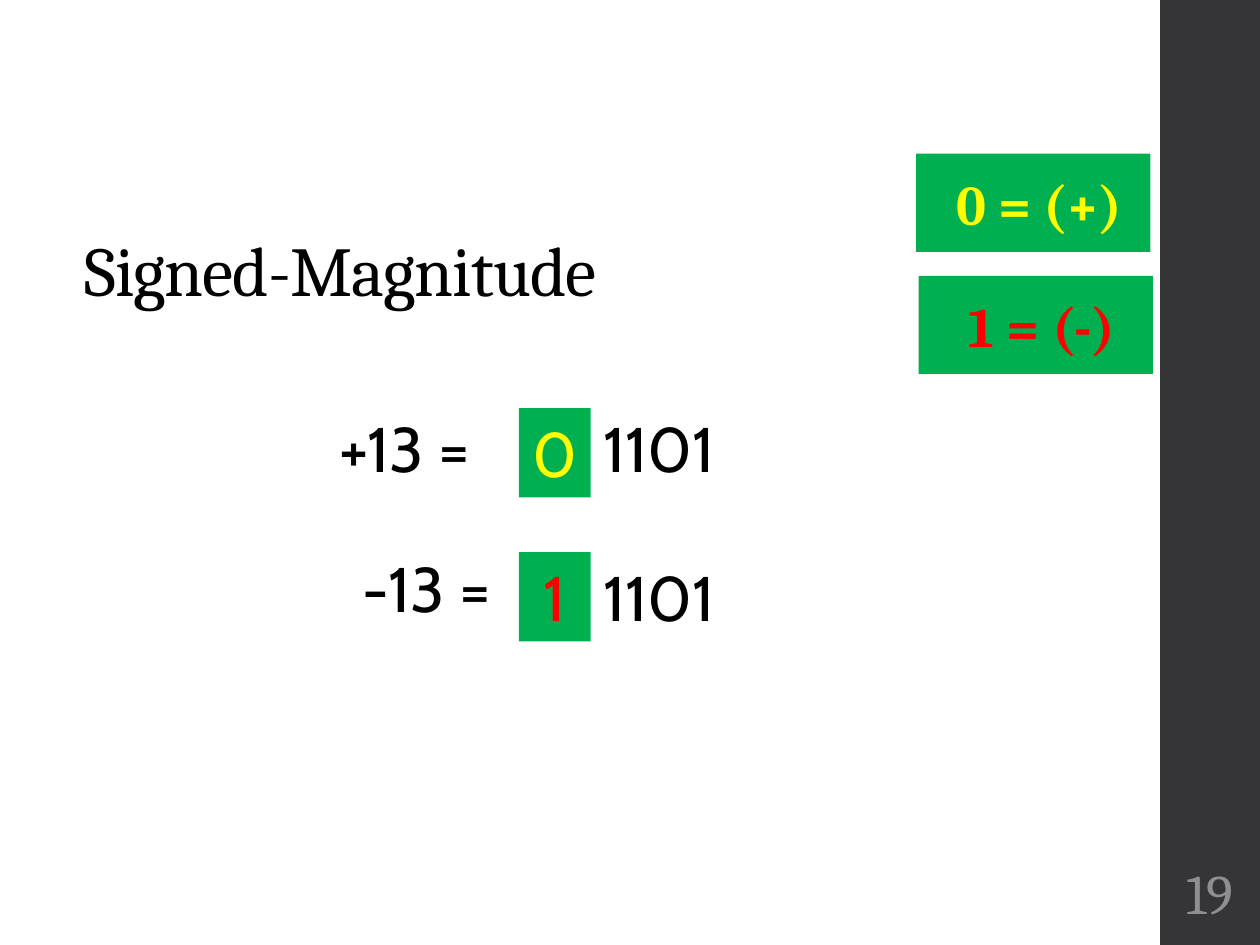
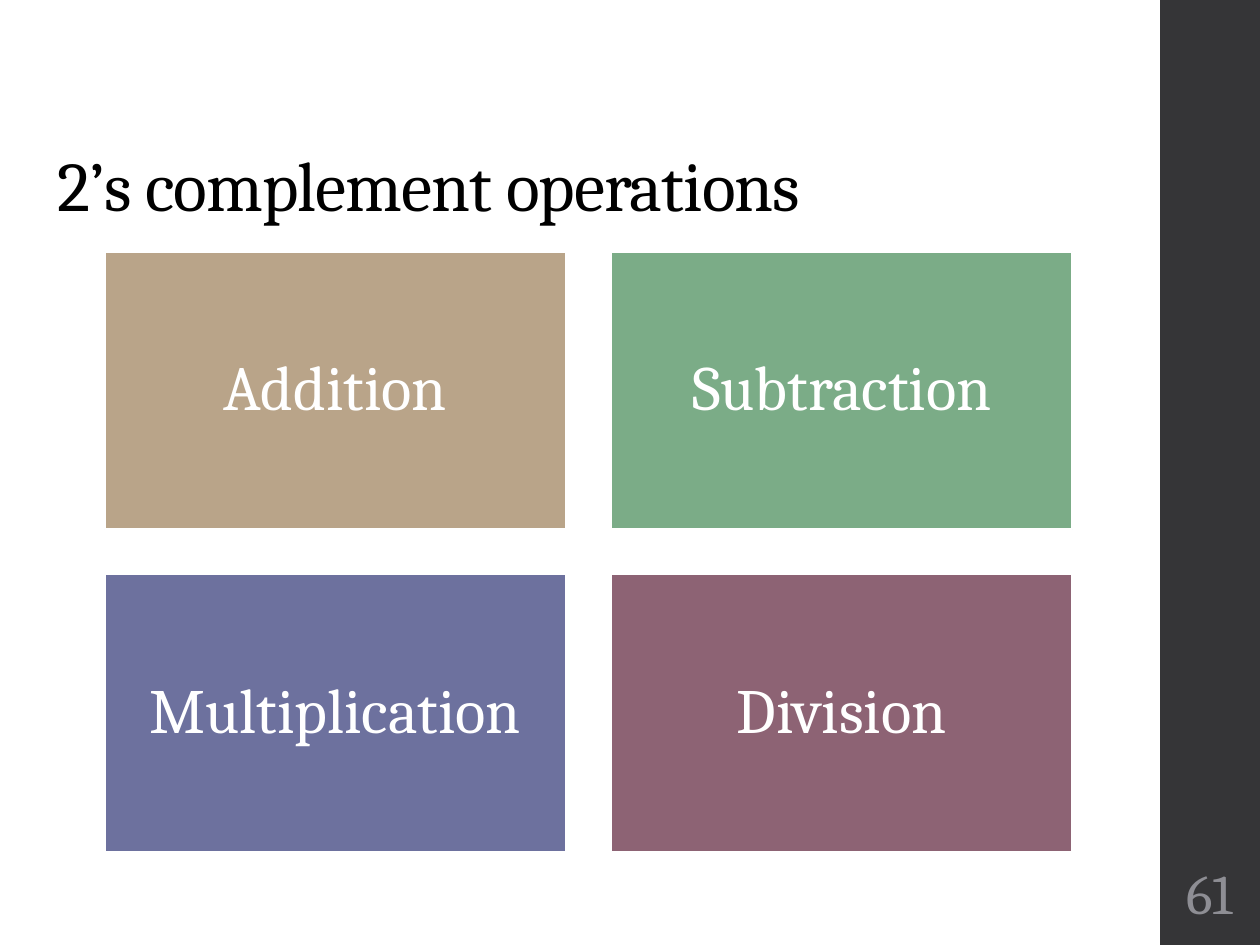
from dataclasses import dataclass

from pptx import Presentation
from pptx.dml.color import RGBColor as Rgb
from pptx.enum.shapes import MSO_SHAPE as Preset
from pptx.enum.text import MSO_ANCHOR as Anchor, PP_ALIGN as Align
from pptx.util import Cm, Pt


@dataclass(frozen=True)
class Theme:
    serif: str = "Cambria"
    sans: str = "Cabin"
    title_size: int = 40
    body_size: int = 36
    small_size: int = 32
    black: str = "000000"
    white: str = "FFFFFF"
    band: str = "353537"
    page_number: str = "8E8E94"
    sign_fill: str = "00B050"
    plus: str = "FFFF00"
    minus: str = "FF0000"


theme = Theme()


def add_box(slide, bounds, fill=None):
    """Add a rectangle, or a text box if there is no fill; bounds are in cm."""
    lengths = [Cm(value) for value in bounds]
    if fill is None:
        return slide.shapes.add_textbox(*lengths)
    shape = slide.shapes.add_shape(Preset.RECTANGLE, *lengths)
    shape.shadow.inherit = False
    shape.fill.solid()
    shape.fill.fore_color.rgb = Rgb.from_string(fill)
    shape.line.fill.background()
    return shape


def write(shape, text, color, size=theme.body_size, font=theme.serif,
          align=Align.CENTER, anchor=Anchor.MIDDLE):
    frame = shape.text_frame
    frame.word_wrap = True
    frame.vertical_anchor = anchor
    paragraph = frame.paragraphs[0]
    paragraph.text = text
    paragraph.alignment = align
    paragraph.font.name = font
    paragraph.font.size = Pt(size)
    paragraph.font.color.rgb = Rgb.from_string(color)
    return paragraph


presentation = Presentation()
presentation.slide_width, presentation.slide_height = Cm(25.4), Cm(19.05)
blank_layout = presentation.slide_layouts[6]

# Side band, title and page number on every slide
slides = []
for title, title_bounds, page_number in (
    ("Signed-Magnitude", (1.45, 2.72, 21.31, 3.68), "19"),
    ("2’s complement operations", (0.91, 1.02, 21.92, 3.68), "61"),
):
    slide = presentation.slides.add_slide(blank_layout)
    slides.append(slide)
    add_box(slide, (23.39, 0, 2.03, 19.05), theme.band)

    paragraph = write(add_box(slide, title_bounds), title, theme.black,
                      theme.title_size, align=Align.LEFT, anchor=Anchor.BOTTOM)
    paragraph.line_spacing = 0.9
    paragraph.runs[0].font._element.set("spc", "-50")

    number_box = add_box(slide, (23.44, 17.15, 1.9, 1.65))
    number_box.text_frame.margin_left = number_box.text_frame.margin_right = Cm(0.08)
    write(number_box, page_number, theme.page_number, theme.small_size)

signed_slide, operations_slide = slides

# Signed-magnitude examples: number, sign bit, magnitude bits
for number, number_left, number_top, sign, sign_color, sign_top, bits_top in (
    ("+13 =", 6.6, 8.13, "0", theme.plus, 8.23, 8.13),
    ("-13 =", 7.06, 10.95, "1", theme.minus, 11.13, 11.13),
):
    for text, bounds, color, fill, align in (
        (number, (number_left, number_top, 3.71, 1.8), theme.black, None, Align.LEFT),
        (sign, (10.46, sign_top, 1.45, 1.8), sign_color, theme.sign_fill, Align.CENTER),
        ("1101", (11.91, bits_top, 3.71, 1.8), theme.black, None, Align.LEFT),
    ):
        write(add_box(signed_slide, bounds, fill), text, color,
              font=theme.sans, align=align, anchor=Anchor.TOP)

# Legend of the sign bit
for text, left, top, color in (
    ("0 = (+)", 18.47, 3.1, theme.plus),
    ("1 = (-)", 18.52, 5.56, theme.minus),
):
    legend_box = add_box(signed_slide, (left, top, 4.72, 1.98), theme.sign_fill)
    legend_box.text_frame.margin_left = Cm(0.5)
    write(legend_box, text, color, theme.small_size).font.bold = True

# Two-by-two grid of operations
card_width, card_height, card_gap = 9.3, 5.59, 0.91
for index, (operation, fill) in enumerate((
    ("Addition", "B9A489"),
    ("Subtraction", "7BAC87"),
    ("Multiplication", "6D719E"),
    ("Division", "8D6374"),
)):
    row, column = divmod(index, 2)
    card = add_box(operations_slide,
                   (2.11 + column * (card_width + card_gap),
                    5.08 + row * (card_height + card_gap),
                    card_width, card_height), fill)
    card.line.color.rgb = Rgb.from_string(theme.white)
    card.line.width = Pt(1.1)
    write(card, operation, theme.white).line_spacing = 0.9

presentation.save("out.pptx")
